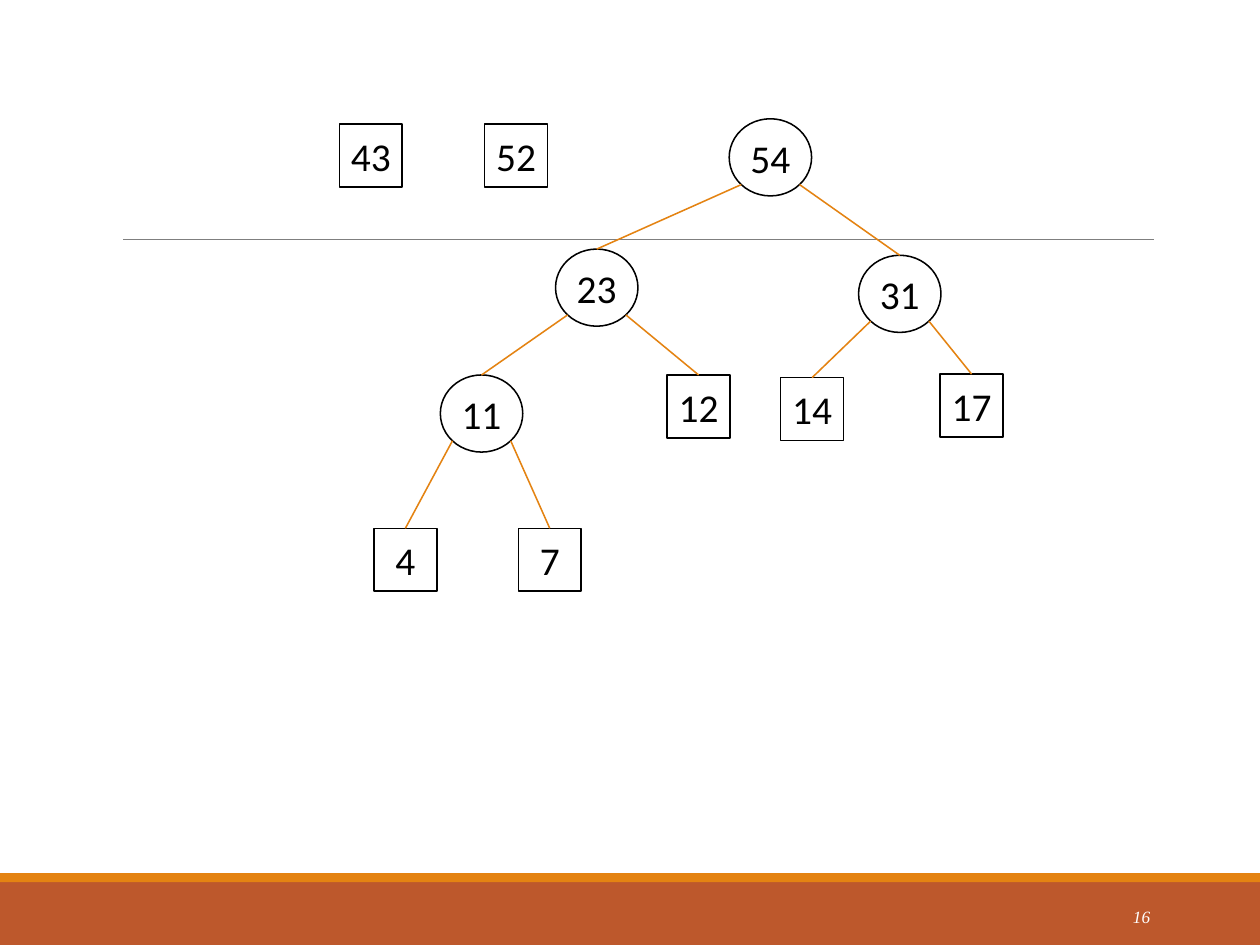
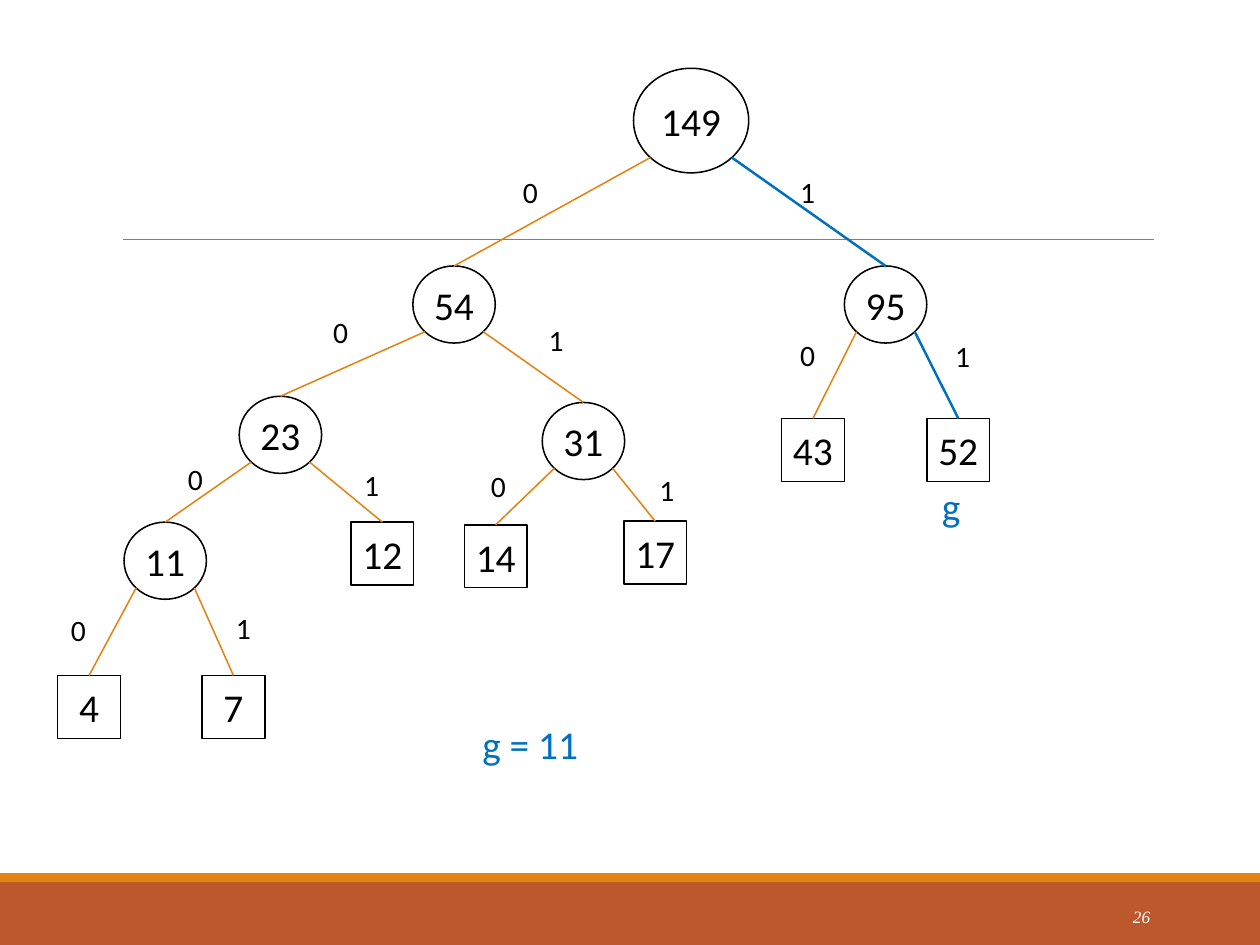
import math
import pptx
import pptx.util
import pptx.dml.color
import pptx.enum.shapes
import pptx.enum.text
import pptx.oxml.ns
import lxml.etree

Inches = pptx.util.Inches
Shape = pptx.enum.shapes.MSO_SHAPE
Align = pptx.enum.text.PP_ALIGN

WIDE, HIGH = 14.22, 10.66
HUES = {"rust": "BD582C", "gold": "E48312", "gray": "7F7F7F",
        "ink": "000000", "blue": "0070C0", "white": "FFFFFF"}
ROOT, KNOT, LEAF = (1.3, 1.18), (0.93, 0.87), (0.71, 0.71)
BIT = (0.49, 0.46)

# Each fork lists its children as (key, offset of node, offset of bit).
FORKS = {
    "149": (("54", (-2.49, 2.23), (-1.41, 1.16)), ("95", (2.38, 2.23), (1.72, 1.16))),
    "54": (("23", (-1.96, 1.47), (-1.06, 0.51)), ("31", (1.46, 1.54), (1.37, 0.6))),
    "23": (("11", (-1.3, 1.42), (-0.74, 0.7)), ("12", (1.26, 1.42), (1.25, 0.77))),
    "31": (("14", (-0.88, 1.38), (-0.74, 0.71)), ("17", (0.92, 1.34), (1.16, 0.75))),
    "11": (("4", (-0.75, 1.73), (-0.76, 0.98)), ("7", (0.88, 1.73), (1.1, 0.96))),
    "95": (("43", (-0.71, 1.72), (-0.66, 0.77)), ("52", (0.93, 1.72), (1.09, 0.78))),
}


def tint(hue):
    """Return the colour object for a named hue."""
    return pptx.dml.color.RGBColor.from_string(HUES[hue])


def write(shape, text, size=32, hue="ink", font="Calibri", align=Align.CENTER,
          italic=False, wrap=True):
    """Write one formatted line into a shape."""
    frame = shape.text_frame
    frame.word_wrap = wrap
    frame.vertical_anchor = pptx.enum.text.MSO_ANCHOR.MIDDLE
    para = frame.paragraphs[0]
    para.alignment = align
    run = para.add_run()
    run.text = text
    run.font.size = pptx.util.Pt(size)
    run.font.name = font
    run.font.italic = italic
    run.font.color.rgb = tint(hue)


def label(slide, box, text, **style):
    """Add a text box with one line."""
    write(slide.shapes.add_textbox(*map(Inches, box)), text, **style)


def band(slide, box, hue):
    """Add a plain filled bar."""
    bar = slide.shapes.add_shape(Shape.RECTANGLE, *map(Inches, box))
    bar.shadow.inherit = False
    bar.fill.solid()
    bar.fill.fore_color.rgb = tint(hue)
    bar.line.fill.background()


def link(slide, start, end, hue, width):
    """Draw a straight line without shadow."""
    line = slide.shapes.add_connector(
        pptx.enum.shapes.MSO_CONNECTOR.STRAIGHT, *map(Inches, start + end))
    line.line.color.rgb = tint(hue)
    line.line.width = pptx.util.Pt(width)
    lxml.etree.SubElement(line._element.spPr, pptx.oxml.ns.qn("a:effectLst"))
    return line


def node(slide, left, top, key):
    """Draw a square leaf or a round fork with its weight."""
    kind = Shape.OVAL if key in FORKS else Shape.RECTANGLE
    shape = slide.shapes.add_shape(
        kind, *map(Inches, (left, top) + extent(key)))
    shape.shadow.inherit = False
    shape.fill.background()
    shape.line.color.rgb = tint("ink")
    shape.line.width = pptx.util.Pt(1.25)
    write(shape, key, wrap=False)
    return shape


def extent(key):
    """Return the width and height of a node."""
    if key not in FORKS:
        return LEAF
    return ROOT if key == "149" else KNOT


def grow(slide, left, top, key, bits=False, hot=()):
    """Draw the tree below a key, with its root at the given corner."""
    shape = node(slide, left, top, key)
    wide, high = extent(key)
    reach = math.sqrt(0.5) / 2
    for bit, (child, (dx, dy), (bx, by)) in enumerate(FORKS.get(key, ())):
        x, y = left + dx, top + dy
        kid = grow(slide, x, y, child, bits, hot)
        side = 1 if bit else -1
        start = (left + wide * (0.5 + side * reach), top + high * (0.5 + reach))
        hue, width = ("blue", 2) if child in hot else ("gold", 1.25)
        line = link(slide, start, (x + extent(child)[0] / 2, y), hue, width)
        line.end_connect(kid, 0)
        if bits:
            label(slide, (left + bx, top + by) + BIT, str(bit), size=24)
    return shape


def page(deck, number):
    """Add a slide with its rule, bands and number."""
    slide = deck.slides.add_slide(deck.slide_layouts[6])
    band(slide, (0, 9.95, WIDE, 0.71), "rust")
    band(slide, (0, 9.85, WIDE, 0.1), "gold")
    link(slide, (1.39, 2.7), (13.02, 2.7), "gray", 0.5)
    label(slide, (11.55, 10.05, 1.53, 0.57), str(number), size=14, hue="white",
          font="Times New Roman", align=Align.RIGHT, italic=True)
    return slide


def merge(deck):
    """Build the slide with two loose leaves and a partial tree."""
    slide = page(deck, 16)
    node(slide, 3.83, 1.4, "43")
    node(slide, 5.47, 1.4, "52")
    grow(slide, 8.23, 1.34, "54")


def code(deck):
    """Build the slide with the full tree and the code of g."""
    slide = page(deck, 26)
    grow(slide, 7.15, 0.77, "149", bits=True, hot=("95", "52"))
    label(slide, (5.08, 8.1, 1.81, 0.59), "g = 11", hue="blue")
    label(slide, (10.49, 5.48) + BIT, "g", hue="blue")


def main():
    """Build and save the deck."""
    deck = pptx.Presentation()
    deck.slide_width, deck.slide_height = Inches(WIDE), Inches(HIGH)
    merge(deck)
    code(deck)
    deck.save("out.pptx")


if __name__ == "__main__":
    main()
